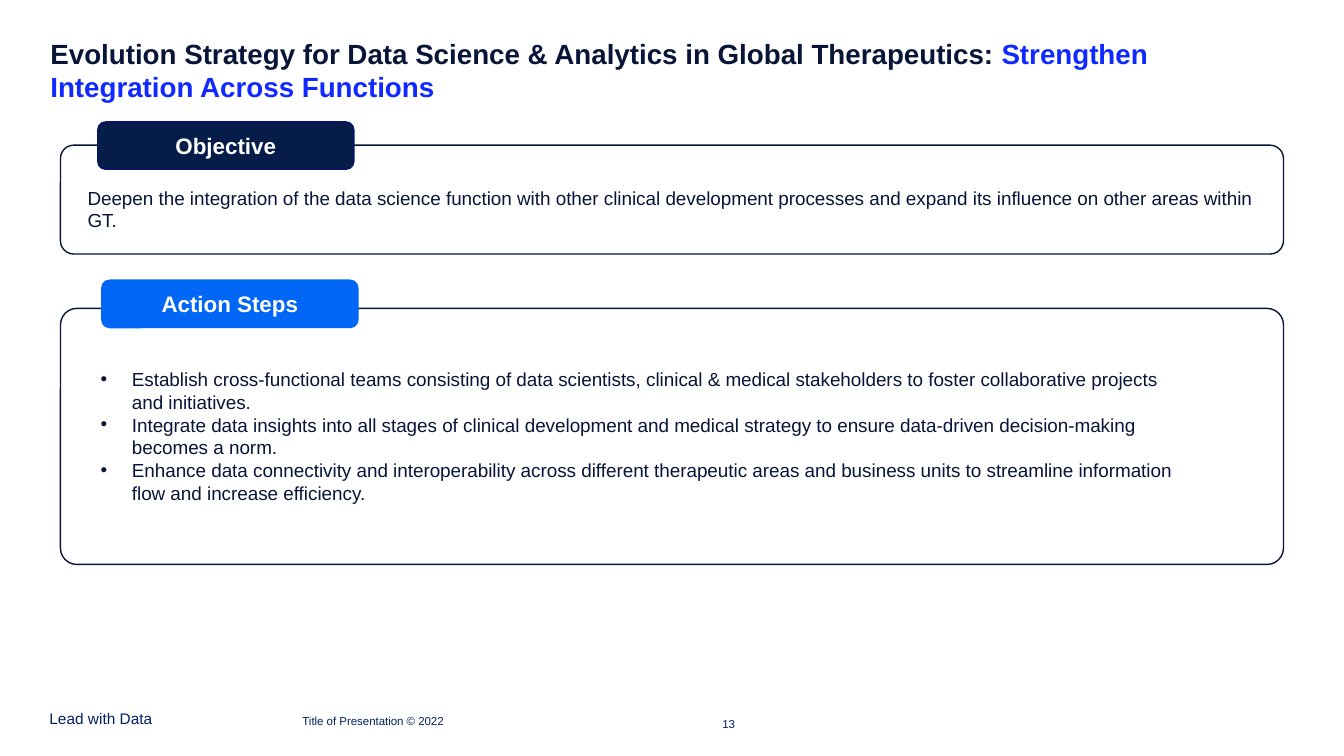
from lxml import etree
from pptx import Presentation
from pptx.dml.color import RGBColor
from pptx.enum.shapes import MSO_SHAPE
from pptx.enum.text import MSO_ANCHOR, PP_ALIGN
from pptx.oxml.ns import qn
from pptx.util import Inches, Pt

ROUNDED = MSO_SHAPE.ROUNDED_RECTANGLE
TOP, MIDDLE, BOTTOM = MSO_ANCHOR.TOP, MSO_ANCHOR.MIDDLE, MSO_ANCHOR.BOTTOM
LEFT, CENTER, RIGHT = PP_ALIGN.LEFT, PP_ALIGN.CENTER, PP_ALIGN.RIGHT
INK, NAVY, BLUE, ACCENT, FOOTER = "081538", "071D49", "0066F5", "0F29FF", "002060"

prs = Presentation()
prs.slide_width, prs.slide_height = Inches(13.33), Inches(7.5)
s = prs.slides.add_slide(prs.slide_layouts[6])


def write(sp, paragraphs, size, color=INK, bold=False, align=LEFT,
          anchor=TOP, margins=(0.1, 0.05), bullet=False):
    """Fill a shape with paragraphs, each a list of (text, color or None)."""
    tf = sp.text_frame
    tf.word_wrap = True
    tf.vertical_anchor = anchor
    tf.margin_left = tf.margin_right = Inches(margins[0])
    tf.margin_top = tf.margin_bottom = Inches(margins[1])
    for i, runs in enumerate(paragraphs):
        p = tf.add_paragraph() if i else tf.paragraphs[0]
        p.alignment = align
        if bullet:
            pPr = p._p.get_or_add_pPr()
            pPr.set("marL", str(Inches(1.06)))
            pPr.set("indent", str(Inches(-0.31)))
            etree.SubElement(pPr, qn("a:buFont")).set("typeface", "Arial")
            etree.SubElement(pPr, qn("a:buChar")).set("char", "•")
        for text, run_color in runs:
            r = p.add_run()
            r.text = text
            r.font.name, r.font.size, r.font.bold = "Arial", Pt(size), bold
            r.font.color.rgb = RGBColor.from_string(run_color or color)


def rounded(box, radius, line, fill=None):
    sp = s.shapes.add_shape(ROUNDED, *map(Inches, box))
    sp.shadow.inherit = False
    sp.adjustments[0] = radius
    sp.line.color.rgb = RGBColor.from_string(line)
    sp.line.width = Pt(1)
    if fill:
        sp.fill.solid()
        sp.fill.fore_color.rgb = RGBColor.from_string(fill)
    else:
        sp.fill.background()
    return sp


# Title
title = s.shapes.add_textbox(*map(Inches, (0.5, 0.36, 10.93, 1.08)))
write(title, [[
    ("Evolution Strategy for Data Science & Analytics in Global Therapeutics: ", None),
    ("Strengthen Integration Across Functions", ACCENT),
]], 19.8, bold=True, margins=(0, 0))

# Framed sections, each with a tab over its top edge and a body text
sections = [
    # frame top, height, radius; tab left, top, label, fill, line; body box, bullets, texts
    (1.44, 1.08, 0.122, 0.97, 1.21, "Objective", NAVY, "071270",
     (0.77, 1.8, 11.83, 0.78), False, [
         "Deepen the integration of the data science function with other clinical "
         "development processes and expand its influence on other areas within GT.",
     ]),
    (3.06, 2.54, 0.064, 1.01, 2.78, "Action Steps", BLUE, BLUE,
     (0.15, 3.6, 11.63, 1.69), True, [
         "Establish cross-functional teams consisting of data scientists, clinical & "
         "medical stakeholders to foster collaborative projects and initiatives.",
         "Integrate data insights into all stages of clinical development and medical "
         "strategy to ensure data-driven decision-making becomes a norm.",
         "Enhance data connectivity and interoperability across different therapeutic "
         "areas and business units to streamline information flow and increase efficiency.",
     ]),
]
for (top, height, radius, tab_left, tab_top, label, fill, line,
     body_box, bullet, texts) in sections:
    rounded((0.6, top, 12.13, height), radius, INK)
    tab = rounded((tab_left, tab_top, 2.54, 0.47), 0.167, line, fill)
    write(tab, [[(label, None)]], 16, "FFFFFF", bold=True, align=CENTER, anchor=MIDDLE)
    body = s.shapes.add_textbox(*map(Inches, body_box))
    write(body, [[(text, None)] for text in texts], 13.5, bullet=bullet)

# Footer
for text, left, top, width, size, align in [
    ("Lead with Data", 0.49, 7, 1.76, 11, LEFT),
    ("Title of Presentation © 2022", 3, 7, 3.43, 8.2, LEFT),
    ("13", 6.71, 7.03, 0.58, 8.2, RIGHT),
]:
    sp = s.shapes.add_textbox(*map(Inches, (left, top, width, 0.22)))
    write(sp, [[(text, None)]], size, FOOTER, align=align, anchor=BOTTOM, margins=(0, 0))

prs.save("out.pptx")
